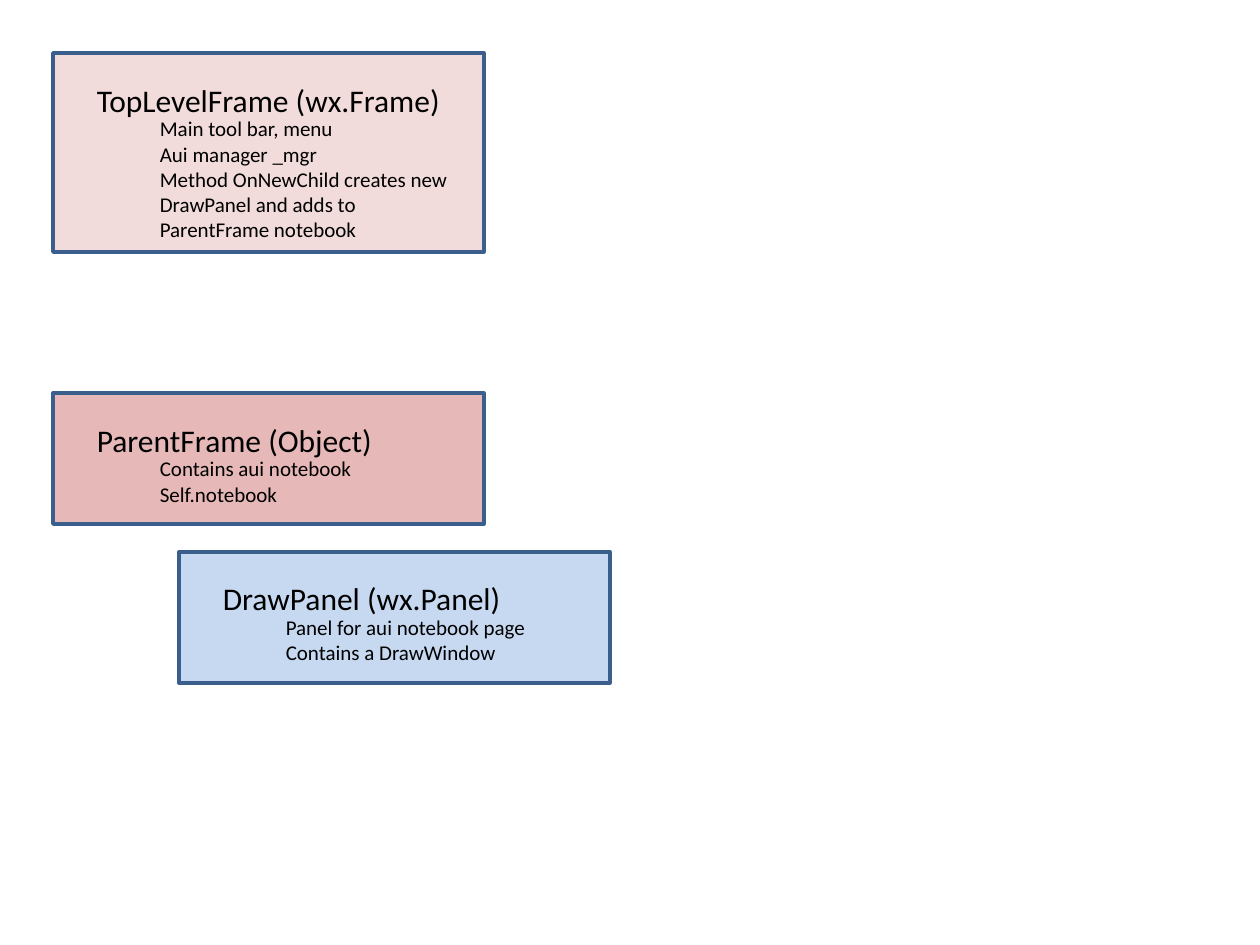
from dataclasses import dataclass

from pptx import Presentation
from pptx.dml.color import RGBColor
from pptx.enum.shapes import MSO_SHAPE
from pptx.enum.text import MSO_AUTO_SIZE
from pptx.slide import Slide
from pptx.util import Inches, Pt

RECTANGLE = MSO_SHAPE.RECTANGLE
GROW_TO_TEXT = MSO_AUTO_SIZE.SHAPE_TO_FIT_TEXT
BLANK_LAYOUT = 6

COLORS = {
    "text": "000000",
    "outline": "3A5F8C",
    "top_level": "F2DCDB",
    "parent": "E6B9B8",
    "panel": "C6D9F1",
}
FONT = "Calibri"
CARD_WIDTH = 3.42
TITLE_OFFSET = (0.25, 0.17)
DETAIL_OFFSET = (0.75, 0.45)
TITLE_HEIGHT = 0.4


@dataclass
class ClassCard:
    title: str
    details: list[str]
    fill: str
    left: float
    top: float
    height: float
    title_width: float
    detail_width: float
    detail_height: float


CARDS = [
    ClassCard(
        "TopLevelFrame (wx.Frame)",
        [
            "Main tool bar, menu",
            "Aui manager _mgr",
            "Method OnNewChild creates new DrawPanel and adds to ParentFrame notebook",
        ],
        "top_level", 0.42, 0.42, 1.58, 3.17, 2.58, 1.11,
    ),
    ClassCard(
        "ParentFrame (Object)",
        ["Contains aui notebook", "Self.notebook"],
        "parent", 0.42, 3.12, 1.04, 2.83, 1.75, 0.5,
    ),
    ClassCard(
        "DrawPanel (wx.Panel)",
        ["Panel for aui notebook page", "Contains a DrawWindow"],
        "panel", 1.42, 4.38, 1.04, 2.83, 2.33, 0.5,
    ),
]


def color(role: str) -> RGBColor:
    return RGBColor.from_string(COLORS[role])


def add_text(slide: Slide, lines: list[str], left: float, top: float,
             width: float, height: float, size: int) -> None:
    box = slide.shapes.add_textbox(Inches(left), Inches(top), Inches(width), Inches(height))
    frame = box.text_frame
    frame.word_wrap = True
    frame.auto_size = GROW_TO_TEXT
    frame.text = "\n".join(lines)
    font_format = {"name": FONT, "size": Pt(size)}
    for para in frame.paragraphs:
        for span in para.runs:
            for attribute, value in font_format.items():
                setattr(span.font, attribute, value)
            span.font.color.rgb = color("text")


def add_card(slide: Slide, card: ClassCard) -> None:
    box = slide.shapes.add_shape(
        RECTANGLE, Inches(card.left), Inches(card.top), Inches(CARD_WIDTH), Inches(card.height)
    )
    box.shadow.inherit = False
    box.fill.solid()
    box.fill.fore_color.rgb = color(card.fill)
    box.line.color.rgb = color("outline")
    box.line.width = Pt(2)

    title_left, title_top = TITLE_OFFSET
    add_text(slide, [card.title], card.left + title_left, card.top + title_top,
             card.title_width, TITLE_HEIGHT, 18)
    detail_left, detail_top = DETAIL_OFFSET
    add_text(slide, card.details, card.left + detail_left, card.top + detail_top,
             card.detail_width, card.detail_height, 12)


def main() -> None:
    deck = Presentation()
    deck.slide_width, deck.slide_height = Inches(10), Inches(7.5)
    page = deck.slides.add_slide(deck.slide_layouts[BLANK_LAYOUT])
    for card in CARDS:
        add_card(page, card)
    deck.save("out.pptx")


if __name__ == "__main__":
    main()
